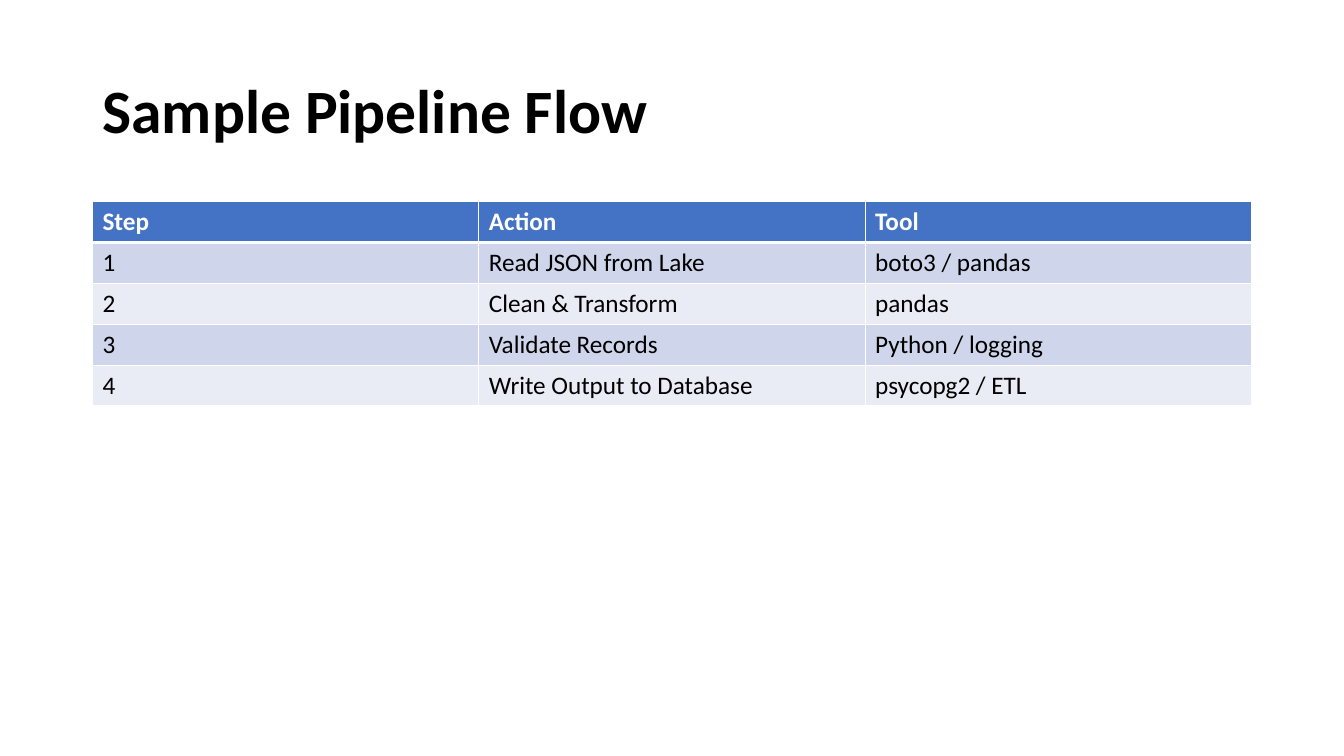
from lxml.etree import SubElement
from pptx import Presentation
from pptx.dml.color import RGBColor
from pptx.enum.text import MSO_ANCHOR as ANCHOR, MSO_AUTO_SIZE as AUTO_SIZE, PP_ALIGN as ALIGN
from pptx.oxml.ns import qn
from pptx.util import Cm, Pt

WHITE = RGBColor(0xFF, 0xFF, 0xFF)
BLACK = RGBColor(0x00, 0x00, 0x00)
BLUE = RGBColor(0x44, 0x72, 0xC4)
BAND_DARK = RGBColor(0xCF, 0xD5, 0xEA)
BAND_LIGHT = RGBColor(0xE9, 0xEB, 0xF5)

LEFT, WIDTH, ROW_HEIGHT = Cm(2.33), Cm(29.21), Cm(1.03)
TITLE_FONT = {"name": "Calibri", "size": Pt(44), "bold": True}
HEAD_FONT = {"name": "Calibri", "size": Pt(18), "bold": True}
BODY_FONT = {**HEAD_FONT, "bold": False}

STEPS = [
    ("Step", "Action", "Tool"),
    ("1", "Read JSON from Lake", "boto3 / pandas"),
    ("2", "Clean & Transform", "pandas"),
    ("3", "Validate Records", "Python / logging"),
    ("4", "Write Output to Database", "psycopg2 / ETL"),
]


def write(p, text, font, color):
    """Put one formatted run in a paragraph."""
    r = p.add_run()
    r.text = text
    for name, value in font.items():
        setattr(r.font, name, value)
    r.font.color.rgb = color


def set_title(slide, text):
    """Place and format the title placeholder."""
    sp = slide.shapes.title
    sp.left, sp.top, sp.width, sp.height = LEFT, Cm(1.01), WIDTH, Cm(3.68)
    tf = sp.text_frame
    tf.auto_size = AUTO_SIZE.NONE
    tf.vertical_anchor = ANCHOR.MIDDLE
    p = tf.paragraphs[0]
    p.alignment, p.line_spacing = ALIGN.LEFT, 0.9
    write(p, text, TITLE_FONT, BLACK)


def set_borders(cell, top, bottom):
    """Draw white cell borders, with top and bottom widths in points."""
    tc_pr = cell._tc.get_or_add_tcPr()
    for side, width in {"L": 1, "R": 1, "T": top, "B": bottom}.items():
        ln = SubElement(tc_pr, qn(f"a:ln{side}"), w=str(Pt(width)))
        fill = SubElement(ln, qn("a:solidFill"))
        SubElement(fill, qn("a:srgbClr"), val=str(WHITE))


def add_steps_table(slide, rows):
    """Add a table with a header row and banded body rows."""
    n_cols = len(rows[0])
    table = slide.shapes.add_table(
        len(rows), n_cols, LEFT, Cm(5.08), WIDTH, ROW_HEIGHT * len(rows)
    ).table
    for i, row in enumerate(rows):
        table.rows[i].height = ROW_HEIGHT
        head = i == 0
        band = BLUE if head else BAND_DARK if i % 2 else BAND_LIGHT
        for j, text in enumerate(row):
            cell = table.cell(i, j)
            set_borders(cell, 3 if i == 1 else 1, 3 if head else 1)
            cell.fill.solid()
            cell.fill.fore_color.rgb = band
            cell.vertical_anchor = ANCHOR.MIDDLE
            write(cell.text_frame.paragraphs[0], text,
                  HEAD_FONT if head else BODY_FONT, WHITE if head else BLACK)


def main():
    """Build the pipeline slide."""
    prs = Presentation()
    prs.slide_width, prs.slide_height = Cm(33.87), Cm(19.05)
    slide = prs.slides.add_slide(prs.slide_layouts[5])
    set_title(slide, "Sample Pipeline Flow")
    add_steps_table(slide, STEPS)
    prs.save("out.pptx")


if __name__ == "__main__":
    main()
